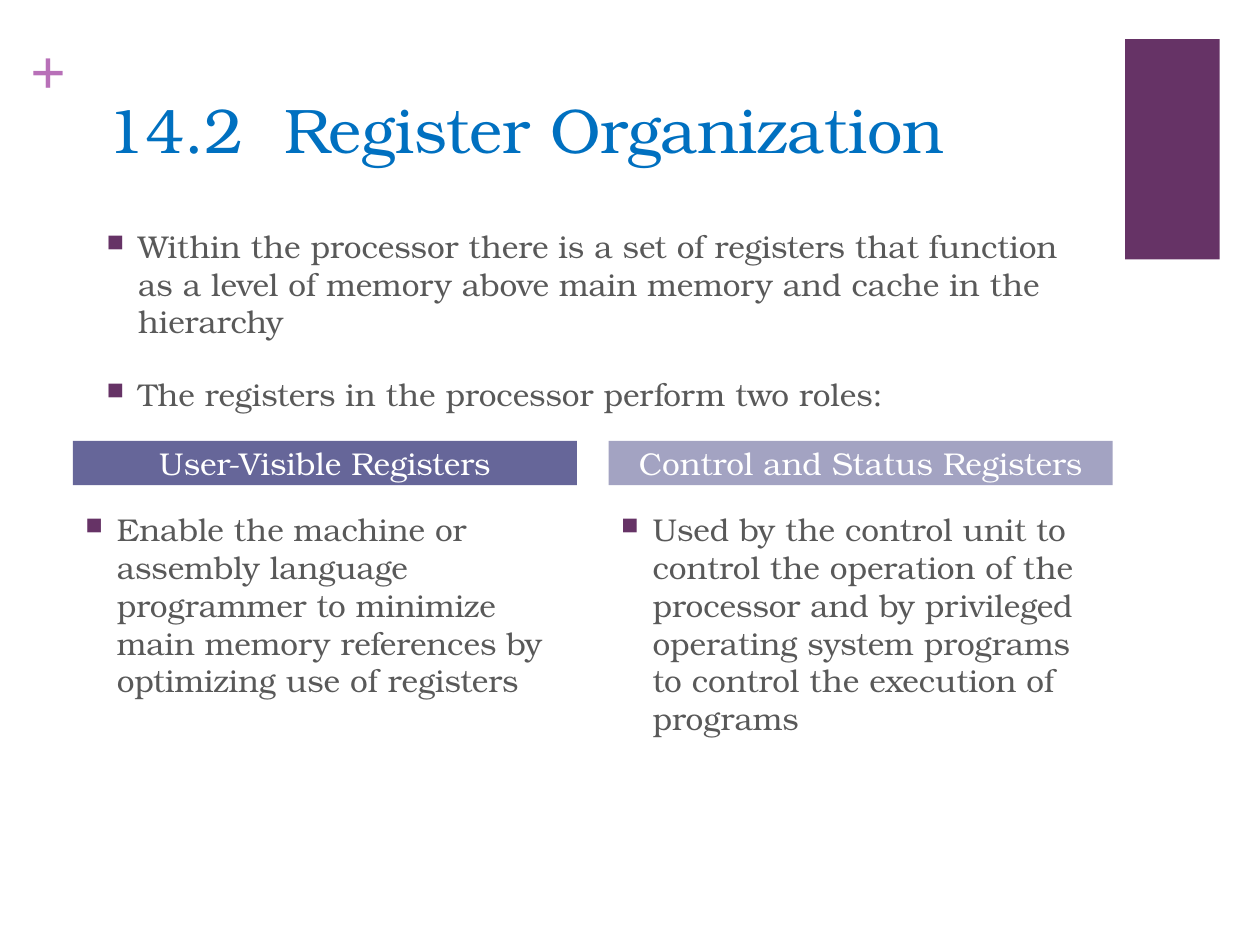
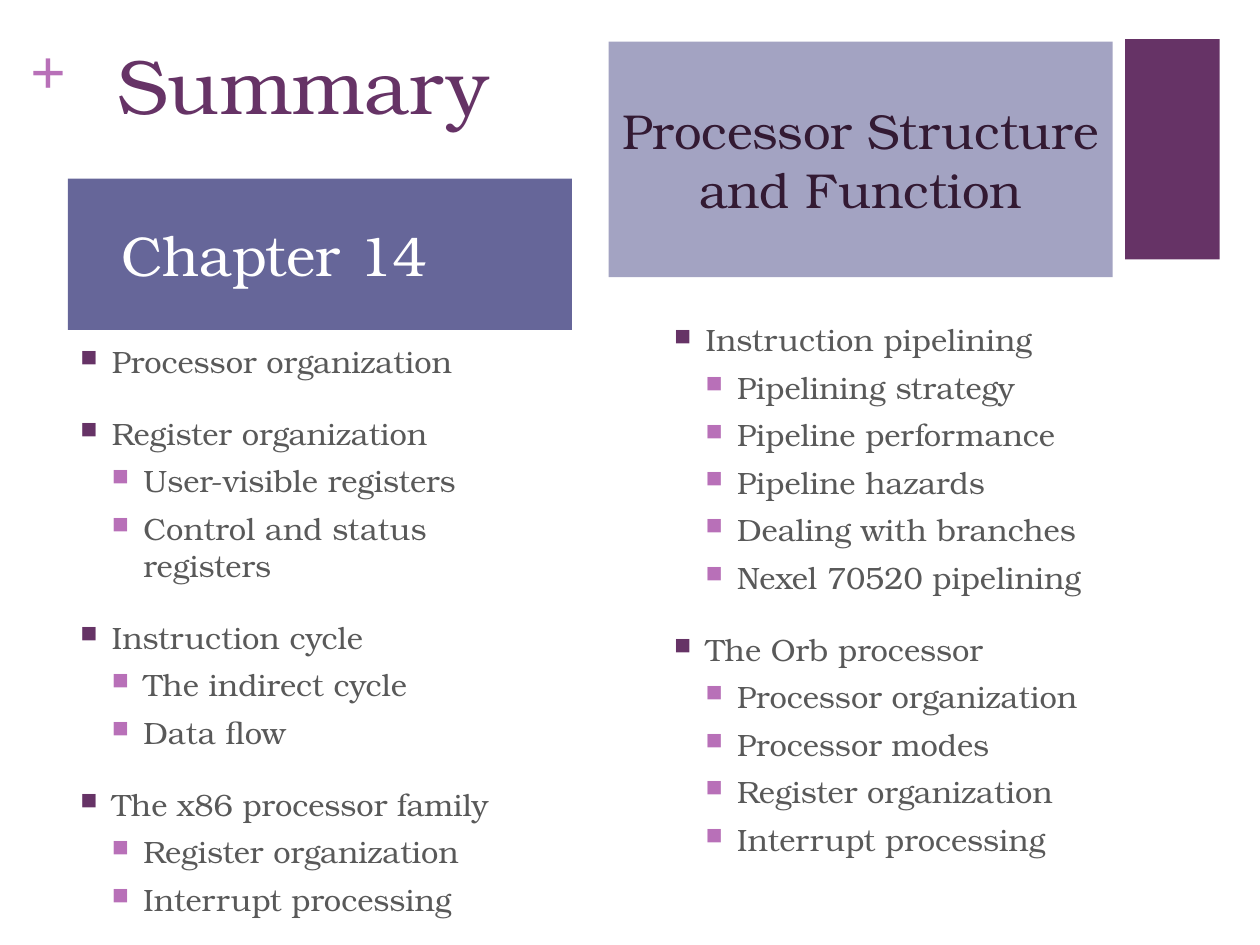
from lxml.etree import SubElement
from pptx import Presentation
from pptx.dml.color import RGBColor
from pptx.enum.shapes import MSO_SHAPE as Shape
from pptx.enum.text import MSO_ANCHOR as Anchor, PP_ALIGN as Align
from pptx.oxml.ns import qn
from pptx.util import Cm, Pt

PLUM = RGBColor(0x66, 0x33, 0x66)
DARK_PLUM = RGBColor(0x33, 0x1A, 0x33)
ORCHID = RGBColor(0xB8, 0x70, 0xB8)
BLUE = RGBColor(0x00, 0x70, 0xC0)
SLATE = RGBColor(0x66, 0x66, 0x99)
PALE_SLATE = RGBColor(0xA3, 0xA3, 0xC2)
GRAY = RGBColor(0x59, 0x59, 0x59)
WHITE = RGBColor(0xFF, 0xFF, 0xFF)

BODY_FONT = "TeX Gyre Bonum"
PLUS_FONT = "Times New Roman"
COLUMN_WIDTH = 10.16
RIGHT_COLUMN = 12.27
INDENT = 0.635
LEVELS = [(20, PLUM), (6, ORCHID)]

REGISTER_INTRO = [
    ("Within the processor there is a set of registers that function as a level "
     "of memory above main memory and cache in the hierarchy", []),
    ("The registers in the processor perform two roles:", []),
]
REGISTER_ROLES = [
    (1.47, SLATE, "User-Visible Registers",
     "Enable the machine or assembly language programmer to minimize main memory "
     "references by optimizing use of registers"),
    (RIGHT_COLUMN, PALE_SLATE, "Control and Status Registers",
     "Used by the control unit to control the operation of the processor and by "
     "privileged operating system programs to control the execution of programs"),
]
SUMMARY_LEFT = [
    ("Processor organization", []),
    ("Register organization",
     ["User-visible registers", "Control and status registers"]),
    ("Instruction cycle", ["The indirect cycle", "Data flow"]),
    ("The x86 processor family",
     ["Register organization", "Interrupt processing"]),
]
SUMMARY_RIGHT = [
    ("Instruction pipelining",
     ["Pipelining strategy", "Pipeline performance", "Pipeline hazards",
      "Dealing with branches", "Nexel 70520 pipelining"]),
    ("The Orb processor",
     ["Processor organization", "Processor modes", "Register organization",
      "Interrupt processing"]),
]


def add_run(paragraph, text, size, color, font=BODY_FONT, bold=False):
    run = paragraph.add_run()
    run.text = text
    run.font.name = font
    run.font.size = Pt(size)
    run.font.bold = bold
    run.font.color.rgb = color


def add_text_frame(slide, left, top, width, height):
    box = slide.shapes.add_textbox(Cm(left), Cm(top), Cm(width), Cm(height))
    box.text_frame.word_wrap = True
    return box.text_frame


def add_rectangle(slide, left, top, width, height, color):
    rectangle = slide.shapes.add_shape(
        Shape.RECTANGLE, Cm(left), Cm(top), Cm(width), Cm(height))
    rectangle.shadow.inherit = False
    rectangle.fill.solid()
    rectangle.fill.fore_color.rgb = color
    rectangle.line.fill.background()
    return rectangle


def add_banner(slide, left, top, height, fill, text, size, color, margin_right=0.25):
    frame = add_rectangle(slide, left, top, COLUMN_WIDTH, height, fill).text_frame
    frame.word_wrap = True
    frame.vertical_anchor = Anchor.MIDDLE
    frame.margin_top = frame.margin_bottom = 0
    frame.margin_left, frame.margin_right = Cm(0.25), Cm(margin_right)
    paragraph = frame.paragraphs[0]
    paragraph.alignment = Align.CENTER
    add_run(paragraph, text, size, color)


def add_title(slide, left, top, width, text, size, color):
    frame = add_text_frame(slide, left, top, width, 3.1)
    add_run(frame.paragraphs[0], text, size, color)


def format_bullet(paragraph, level):
    space, color = LEVELS[level]
    paragraph.level = level
    paragraph.space_before = Pt(space)
    properties = paragraph._p.get_or_add_pPr()
    properties.set("marL", str(Cm(INDENT * (level + 1))))
    properties.set("indent", str(-Cm(INDENT)))
    bullet_color = SubElement(properties, qn("a:buClr"))
    SubElement(bullet_color, qn("a:srgbClr"), val=str(color))
    SubElement(properties, qn("a:buSzPct"), val="75000")
    SubElement(properties, qn("a:buChar"), char="■")


def add_bullets(slide, left, top, width, height, topics, size):
    frame = add_text_frame(slide, left, top, width, height)
    lines = [(text, level) for topic, details in topics
             for text, level in [(topic, 0)] + [(detail, 1) for detail in details]]
    for index, (text, level) in enumerate(lines):
        paragraph = frame.add_paragraph() if index else frame.paragraphs[0]
        format_bullet(paragraph, level)
        add_run(paragraph, text, size, GRAY)


def add_base_slide(presentation):
    slide = presentation.slides.add_slide(presentation.slide_layouts[6])
    add_rectangle(slide, 22.68, 0.79, 1.91, 4.44, PLUM)
    frame = add_text_frame(slide, 0.61, 0.64, 0.74, 1.55)
    frame.word_wrap = False
    frame.margin_left = frame.margin_right = 0
    frame.margin_top = frame.margin_bottom = 0
    add_run(frame.paragraphs[0], "+", 36, ORCHID, PLUS_FONT, True)
    return slide


def add_register_slide(presentation):
    slide = add_base_slide(presentation)
    add_title(slide, 1.9, 1.7, 20.98, "14.2  Register Organization", 36, BLUE)
    add_bullets(slide, 1.9, 4.45, 19.89, 3.28, REGISTER_INTRO, 18)
    for left, fill, heading, role in REGISTER_ROLES:
        add_banner(slide, left, 8.89, 0.89, fill, heading, 18, WHITE)
        add_bullets(slide, left, 10.16, COLUMN_WIDTH, 6, [(role, [])], 18)


def add_summary_slide(presentation):
    slide = add_base_slide(presentation)
    add_title(slide, 2.11, 0.64, 11.3, "Summary", 44, PLUM)
    add_banner(slide, 1.37, 3.6, 3.05, SLATE, "Chapter 14", 32, WHITE, 2.08)
    add_banner(slide, RIGHT_COLUMN, 0.84, 4.75, PALE_SLATE,
               "Processor Structure and Function", 28, DARK_PLUM)
    add_bullets(slide, 1.37, 6.78, COLUMN_WIDTH, 12.27, SUMMARY_LEFT, 17.6)
    add_bullets(slide, 13.34, 6.35, COLUMN_WIDTH, 11.43, SUMMARY_RIGHT, 17.6)


def main():
    presentation = Presentation()
    presentation.slide_width = Cm(25.4)
    presentation.slide_height = Cm(19.05)
    add_register_slide(presentation)
    add_summary_slide(presentation)
    presentation.save("out.pptx")


if __name__ == "__main__":
    main()
